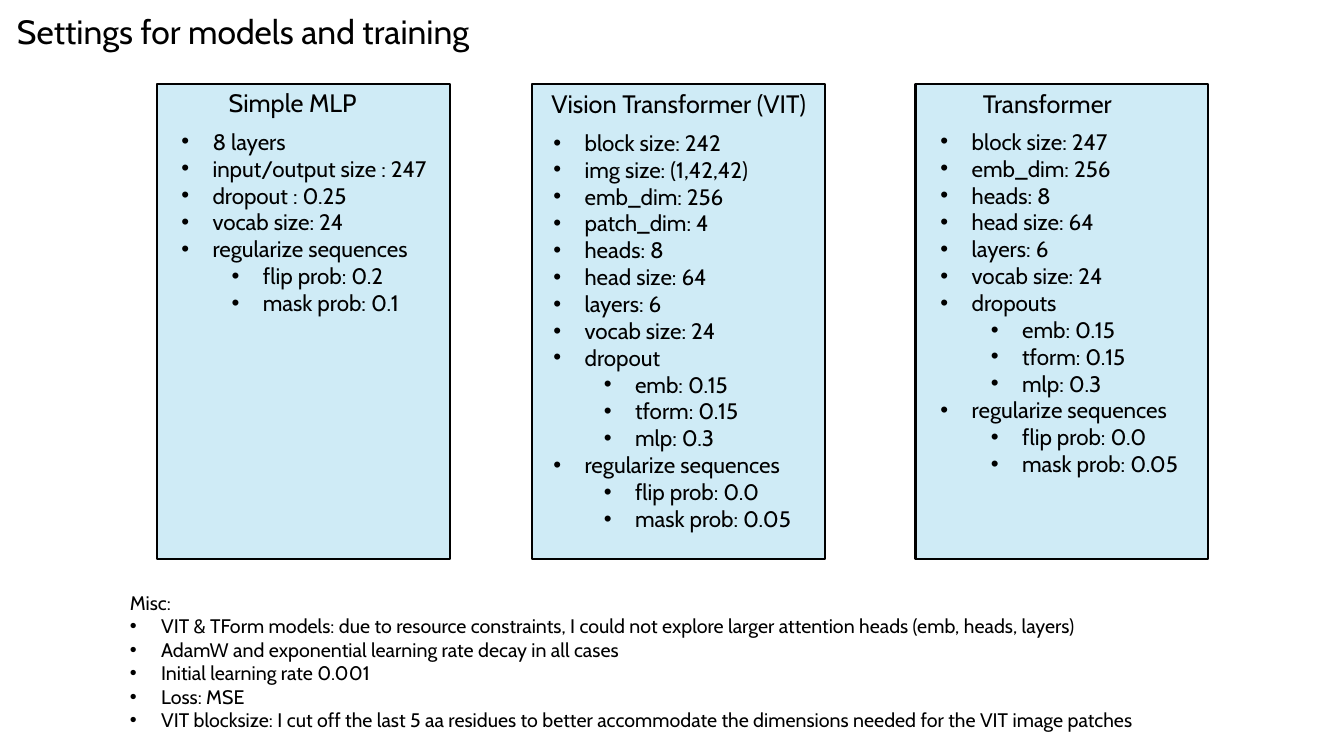
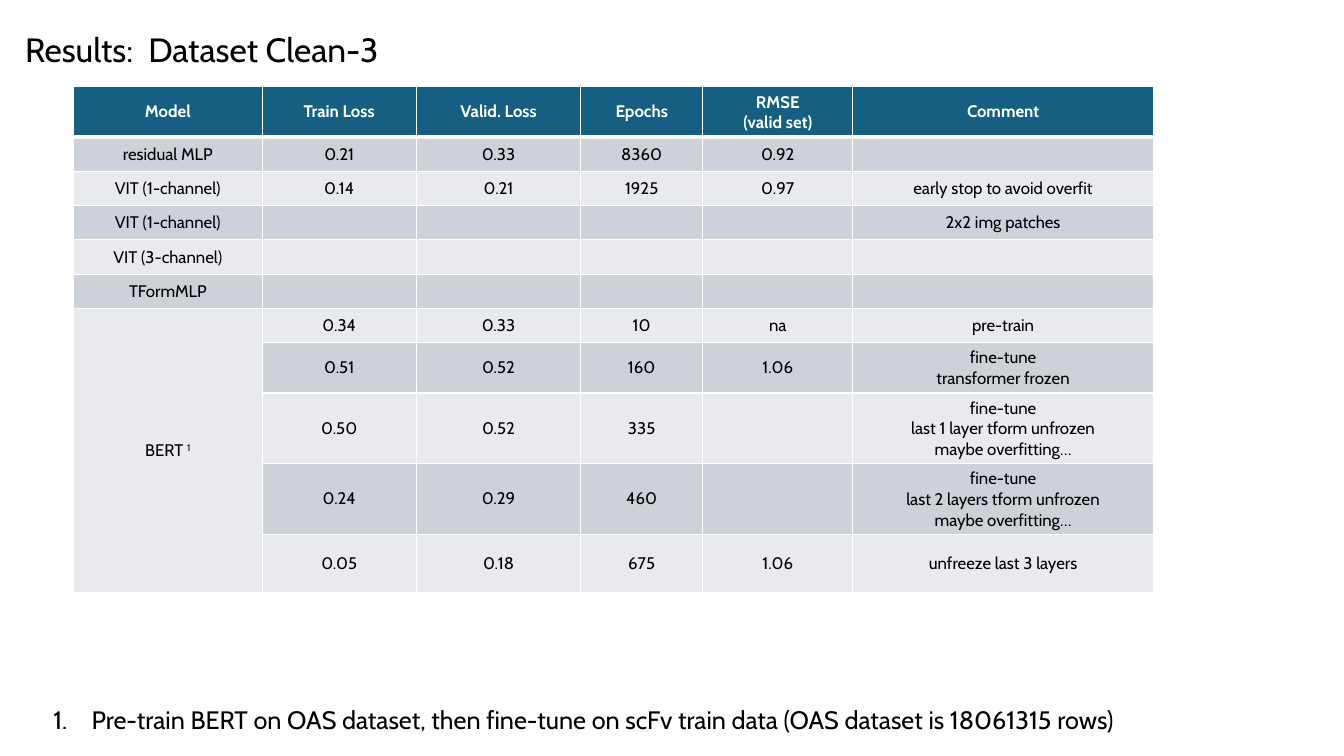
from dataclasses import dataclass

from pptx import Presentation
from pptx.dml.color import RGBColor as RGB
from pptx.enum.shapes import MSO_SHAPE as SHAPE
from pptx.enum.text import MSO_ANCHOR as ANCHOR, MSO_AUTO_SIZE as AUTO, PP_ALIGN as ALIGN
from pptx.oxml.ns import qn
from pptx.util import Pt
from lxml.etree import SubElement, Element

EMU_PER_PX = 9144


@dataclass(frozen=True)
class Theme:
    font: str = "Cabin"
    bullet_font: str = "Arial"
    ink: str = "000000"
    white: str = "FFFFFF"
    panel: str = "0F9ED5"
    panel_alpha: int = 20000
    header: str = "156082"
    bands: tuple = ("CCD2D8", "E8EAED")
    title: int = 24
    heading: int = 18
    body: int = 16
    note: int = 14
    cell: int = 12
    indent: int = 31
    level_step: int = 50


T = Theme()

PANELS = [
    (156, (217, 82, 148), (170, 122, 266, 226), "Simple MLP", [
        "8 layers", "input/output size : 247", "dropout : 0.25", "vocab size: 24",
        ("regularize sequences", "flip prob: 0.2", "mask prob: 0.1"),
    ]),
    (528, (537, 83, 276), (539, 123, 258, 441), "Vision Transformer (VIT)", [
        "block size: 242", "img size: (1,42,42)", "emb_dim: 256", "patch_dim: 4",
        "heads: 8", "head size: 64", "layers: 6", "vocab size: 24",
        ("dropout", "emb: 0.15", "tform: 0.15", "mlp: 0.3"),
        ("regularize sequences", "flip prob: 0.0", "mask prob: 0.05"),
    ]),
    (908, (965, 83, 151), (923, 122, 257, 414), "Transformer", [
        "block size: 247", "emb_dim: 256", "heads: 8", "head size: 64",
        "layers: 6", "vocab size: 24",
        ("dropouts", "emb: 0.15", "tform: 0.15", "mlp: 0.3"),
        ("regularize sequences", "flip prob: 0.0", "mask prob: 0.05"),
    ]),
]

MISC = [
    "VIT & TForm models: due to resource constraints, I could not explore larger "
    "attention heads (emb, heads, layers)",
    "AdamW and exponential learning rate decay in all cases",
    "Initial learning rate 0.001",
    "Loss: MSE",
    "VIT blocksize: I cut off the last 5 aa residues to better accommodate the "
    "dimensions needed for the VIT image patches",
]

COLUMNS = [187, 153, 163, 121, 149, 298]
ROWS = [44] + [34] * 6 + [44, 61, 61, 58]
BERT_ROW = 6
RESULTS = [
    ["Model", "Train Loss", "Valid. Loss", "Epochs", "RMSE\n(valid set)", "Comment"],
    ["residual MLP", "0.21", "0.33", "8360", "0.92", ""],
    ["VIT (1-channel)", "0.14", "0.21", "1925", "0.97", "early stop to avoid overfit"],
    ["VIT (1-channel)", "", "", "", "", "2x2 img patches"],
    ["VIT (3-channel)", "", "", "", "", ""],
    ["TFormMLP", "", "", "", "", ""],
    ["BERT ^1", "0.34", "0.33", "10", "na", "pre-train"],
    ["", "0.51", "0.52", "160", "1.06", "fine-tune\ntransformer frozen"],
    ["", "0.50", "0.52", "335", "",
     "fine-tune\nlast 1 layer tform unfrozen\nmaybe overfitting…"],
    ["", "0.24", "0.29", "460", "",
     "fine-tune\nlast 2 layers tform unfrozen\nmaybe overfitting…"],
    ["", "0.05", "0.18", "675", "1.06", "unfreeze last 3 layers"],
]


def px(n):
    return n * EMU_PER_PX


def add_run(p, text, size, color=T.ink, bold=False):
    r = p.add_run()
    r.text = text
    r.font.name = T.font
    r.font.size = Pt(size)
    r.font.bold = bold
    r.font.color.rgb = RGB.from_string(color)
    return r


def add_bullet(p, level=0, indent=T.indent, numbered=False):
    p.level = level
    pPr = p._p.get_or_add_pPr()
    pPr.set("marL", str(px(indent + level * T.level_step)))
    pPr.set("indent", str(px(-indent)))
    if numbered:
        SubElement(pPr, qn("a:buFont"), typeface=T.font)
        SubElement(pPr, qn("a:buAutoNum"), type="arabicPeriod")
    else:
        SubElement(pPr, qn("a:buFont"), typeface=T.bullet_font)
        SubElement(pPr, qn("a:buChar"), char="•")


def next_paragraph(tf):
    first = tf.paragraphs[0]
    return tf.add_paragraph() if first.runs else first


def add_box(shapes, x, y, w, h, wrap=False):
    tf = shapes.add_textbox(px(x), px(y), px(w), px(h)).text_frame
    tf.word_wrap = wrap
    tf.auto_size = AUTO.SHAPE_TO_FIT_TEXT
    return tf


def add_line(shapes, text, size, x, y, w, h):
    tf = add_box(shapes, x, y, w, h)
    add_run(tf.paragraphs[0], text, size)


def add_items(tf, items, size, level=0):
    for item in items:
        head, *children = item if isinstance(item, tuple) else (item,)
        p = next_paragraph(tf)
        add_bullet(p, level)
        add_run(p, head, size)
        add_items(tf, children, size, level + 1)


def add_panel(slide, x, heading_at, list_at, heading, items):
    shapes = slide.shapes.add_group_shape().shapes
    sp = shapes.add_shape(SHAPE.RECTANGLE, px(x), px(83), px(290), px(472))
    sp.shadow.inherit = False
    sp.fill.solid()
    sp.fill.fore_color.rgb = RGB.from_string(T.panel)
    color = sp._element.spPr.find(f"{qn('a:solidFill')}/{qn('a:srgbClr')}")
    SubElement(color, qn("a:alpha"), val=str(T.panel_alpha))
    sp.line.color.rgb = RGB.from_string(T.ink)
    sp.line.width = Pt(1.5)
    add_line(shapes, heading, T.heading, *heading_at, 40)
    add_items(add_box(shapes, *list_at), items, T.body)


def set_borders(cell, top, bottom):
    tcPr = cell._tc.get_or_add_tcPr()
    for i, (side, width) in enumerate((("L", 1), ("R", 1), ("T", top), ("B", bottom))):
        ln = Element(qn(f"a:ln{side}"), w=str(Pt(width)))
        fill = SubElement(ln, qn("a:solidFill"))
        SubElement(fill, qn("a:srgbClr"), val=T.white)
        tcPr.insert(i, ln)


def fill_cell(cell, text, row):
    header = row == 0
    color = T.white if header else T.ink
    cell.vertical_anchor = ANCHOR.MIDDLE
    cell.fill.solid()
    cell.fill.fore_color.rgb = RGB.from_string(T.header if header else T.bands[(row - 1) % 2])
    set_borders(cell, 3 if row == 1 else 1, 3 if header else 1)
    for line in text.split("\n"):
        p = next_paragraph(cell.text_frame)
        p.alignment = ALIGN.CENTER
        base, _, superscript = line.partition("^")
        if base:
            add_run(p, base, T.cell, color, header)
        else:
            SubElement(p._p, qn("a:endParaRPr"), sz=str(T.cell * 100))
        if superscript:
            r = add_run(p, superscript, T.cell, color)
            r.font._element.set("baseline", "30000")


def add_results(slide, x, y):
    frame = slide.shapes.add_table(len(ROWS), len(COLUMNS), px(x), px(y),
                                   px(sum(COLUMNS)), px(sum(ROWS)))
    table = frame.table
    table.horz_banding = False
    for column, width in zip(table.columns, COLUMNS):
        column.width = px(width)
    for i, (height, values) in enumerate(zip(ROWS, RESULTS)):
        table.rows[i].height = px(height)
        for j, text in enumerate(values):
            fill_cell(table.cell(i, j), text, i)
    table.cell(BERT_ROW, 0).merge(table.cell(len(ROWS) - 1, 0))


def add_slide(prs, title, x, y, w):
    slide = prs.slides.add_slide(prs.slide_layouts[6])
    add_line(slide.shapes, title, T.title, x, y, w, 50)
    return slide


def settings_slide(prs):
    slide = add_slide(prs, "Settings for models and training", 7, 6, 478)
    for panel in PANELS:
        add_panel(slide, *panel)
    tf = add_box(slide.shapes, 119, 581, 1050, 151, wrap=True)
    add_run(tf.paragraphs[0], "Misc:", T.note)
    add_items(tf, MISC, T.note)


def results_slide(prs):
    slide = add_slide(prs, "Results:  Dataset Clean-3", 15, 24, 389)
    add_results(slide, 73, 86)
    p = add_box(slide.shapes, 43, 694, 1095, 40).paragraphs[0]
    add_bullet(p, indent=38, numbered=True)
    add_run(p, "Pre-train BERT on OAS dataset, then fine-tune on scFv train data "
               "(OAS dataset is 18061315 rows)", T.heading)


def main():
    prs = Presentation()
    prs.slide_width, prs.slide_height = px(1333), px(750)
    settings_slide(prs)
    results_slide(prs)
    prs.save("out.pptx")


if __name__ == "__main__":
    main()
